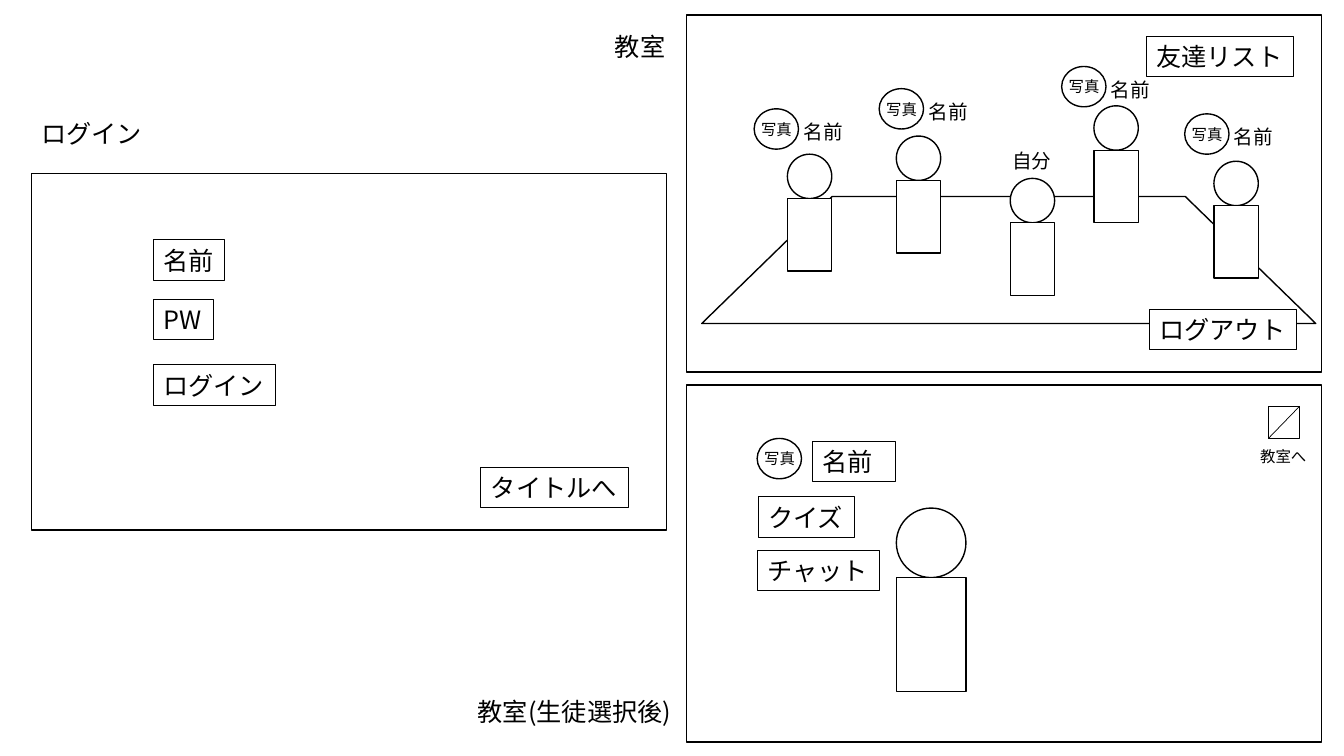
"""Build the wireframe slide for the login and classroom screens."""
from dataclasses import dataclass

from pptx import Presentation
from pptx import util as u
from pptx.dml.color import RGBColor
from pptx.enum import shapes, text
from pptx.oxml import ns
from pptx.oxml import xmlchemy as xc


@dataclass(frozen=True)
class Theme:
    font: str = "Noto Sans CJK JP"
    ink: RGBColor = RGBColor(0, 0, 0)
    paper: RGBColor = RGBColor(255, 255, 255)
    large: int = 18
    mid: int = 14
    small: int = 11
    line: float = 1
    frame: float = 0.75
    thin: float = 0.5


theme = Theme()
kind = shapes.MSO_SHAPE


def draw(host, form, x, y, w, h, fill=False):
    """Add an outlined shape, white or clear."""
    shape = host.add_shape(form, u.Inches(x), u.Inches(y), u.Inches(w), u.Inches(h))
    shape.shadow.inherit = False
    if fill:
        shape.fill.solid()
        shape.fill.fore_color.rgb = theme.paper
    else:
        shape.fill.background()
    shape.line.color.rgb = theme.ink
    shape.line.width = u.Pt(theme.line)
    return shape


def write(words, x, y, w, h, size=theme.large, wrap=False, frame=False):
    """Add a text box, framed if asked."""
    box = slide.shapes.add_textbox(u.Inches(x), u.Inches(y), u.Inches(w), u.Inches(h))
    body = box.text_frame
    body.word_wrap = wrap
    body.auto_size = text.MSO_AUTO_SIZE.SHAPE_TO_FIT_TEXT
    para = body.paragraphs[0]
    para.text = words
    para.font.size = u.Pt(size)
    para.font.color.rgb = theme.ink
    para.font.name = theme.font
    east = xc.OxmlElement("a:ea")
    east.set("typeface", theme.font)
    para._p.pPr.find(ns.qn("a:defRPr")).append(east)
    if frame:
        box.line.color.rgb = theme.ink
        box.line.width = u.Pt(theme.frame)
    return box


deck = Presentation()
deck.slide_width = u.Inches(13.33)
deck.slide_height = u.Inches(7.5)
slide = deck.slides.add_slide(deck.slide_layouts[6])

floor = draw(slide.shapes, kind.TRAPEZOID, 6.96, 1.95, 6.09, 1.26, True)
floor.adjustments[0] = 1.027

for x, y in [(0.31, 1.72), (6.81, 0.15), (6.81, 3.82)]:
    draw(slide.shapes, kind.RECTANGLE, x, y, 6.3, 3.54)

write("ログイン", 0.31, 1.12, 1.21, 0.4)
write("教室", 6, 0.26, 0.71, 0.4)
write("教室(生徒選択後)", 4.64, 6.86, 2.17, 0.4, wrap=True)

buttons = [
    ("名前", 1.52, 2.38, 0.71),
    ("PW", 1.52, 2.97, 0.6),
    ("ログイン", 1.52, 3.62, 1.21),
    ("タイトルへ", 4.77, 4.64, 1.46),
    ("友達リスト", 11.37, 0.36, 1.46),
    ("クイズ", 7.52, 4.93, 0.96),
    ("チャット", 7.51, 5.46, 1.21),
]
for words, x, y, w in buttons:
    write(words, x, y, w, 0.4, frame=True)
write("名前", 8.06, 4.38, 0.82, 0.4, wrap=True, frame=True)
logout = write("ログアウト", 11.4, 3.07, 1.46, 0.4, frame=True)
logout.fill.solid()
logout.fill.fore_color.rgb = theme.paper

people = [
    (8.89, 5.04, 0.69, 1.13),
    (8.89, 1.35, 0.44, 0.72),
    (10.02, 1.77, 0.44, 0.72),
    (7.81, 1.53, 0.44, 0.72),
    (10.85, 1.05, 0.44, 0.72),
    (12.04, 1.6, 0.44, 0.72),
]
for x, y, head, torso in people:
    group = slide.shapes.add_group_shape().shapes
    draw(group, kind.OVAL, x, y, head, head, True)
    draw(group, kind.RECTANGLE, x, y + head, head, torso, True)

photos = [(7.48, 1.08), (8.72, 0.88), (10.53, 0.66), (11.75, 1.13), (7.51, 4.35)]
for x, y in photos:
    draw(slide.shapes, kind.OVAL, x, y, 0.44, 0.4)
    write("写真", x - 0.03, y + 0.06, 0.51, 0.29, theme.small)
for x, y in photos[:4]:
    write("名前", x + 0.39, y + 0.06, 0.91, 0.34, theme.mid, wrap=True)
write("自分", 9.94, 1.43, 0.59, 0.34, theme.mid)

door = slide.shapes.add_group_shape().shapes
draw(door, kind.RECTANGLE, 12.58, 4.03, 0.31, 0.32)
slash = door.add_connector(
    shapes.MSO_CONNECTOR.STRAIGHT,
    u.Inches(12.89), u.Inches(4.03), u.Inches(12.58), u.Inches(4.35),
)
slash.line.color.rgb = theme.ink
slash.line.width = u.Pt(theme.thin)
slash._element.spPr.append(xc.OxmlElement("a:effectLst"))
write("教室へ", 12.4, 4.39, 0.66, 0.29, theme.small)

deck.save("out.pptx")
